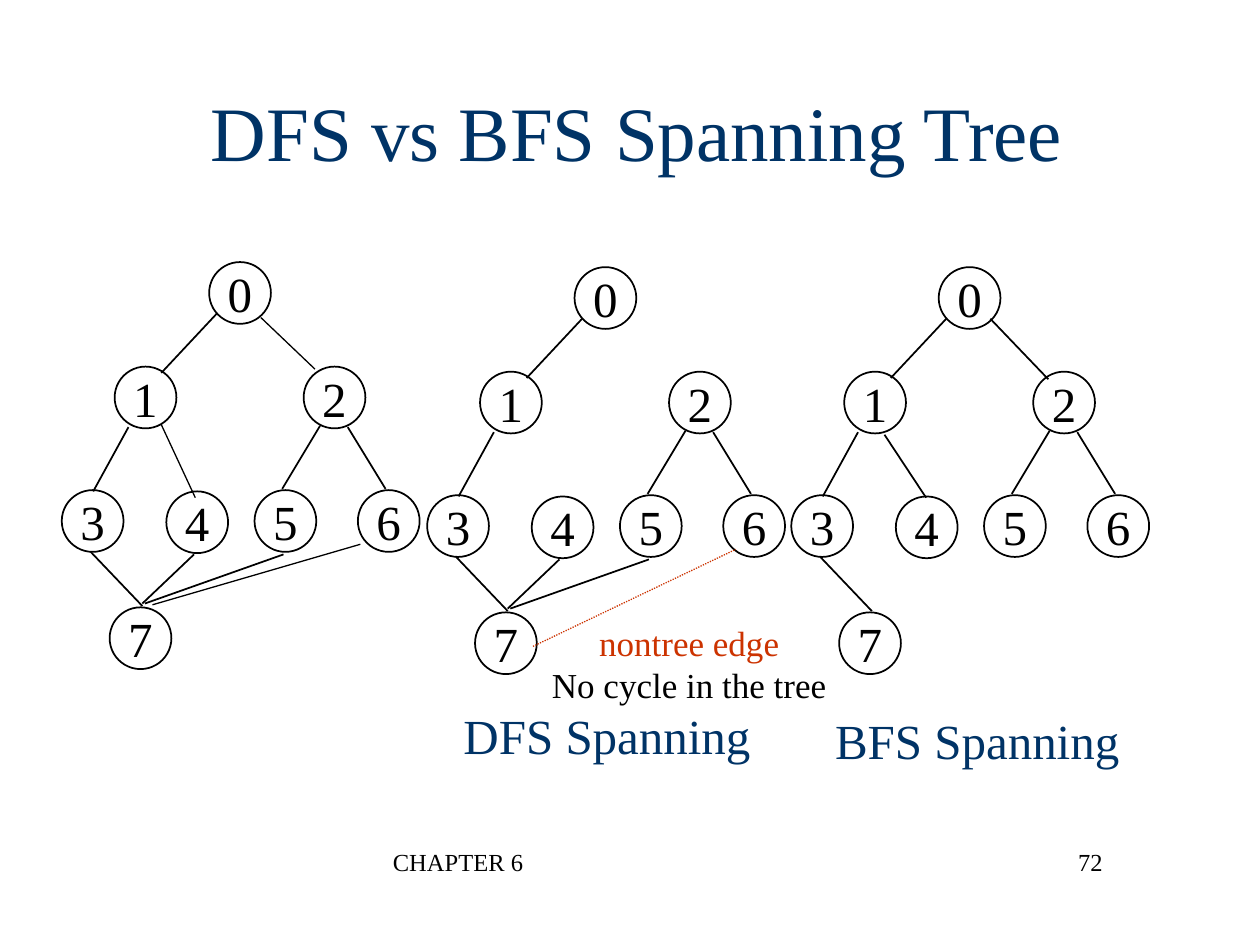
from lxml import etree
from pptx import Presentation
from pptx.dml.color import RGBColor
from pptx.enum.dml import MSO_LINE
from pptx.enum.shapes import MSO_CONNECTOR, MSO_SHAPE
from pptx.enum.text import MSO_ANCHOR, PP_ALIGN
from pptx.oxml.ns import qn
from pptx.util import Inches, Pt

LEFT, CENTER, RIGHT = PP_ALIGN.LEFT, PP_ALIGN.CENTER, PP_ALIGN.RIGHT
TOP, MIDDLE = MSO_ANCHOR.TOP, MSO_ANCHOR.MIDDLE
OVAL, STRAIGHT = MSO_SHAPE.OVAL, MSO_CONNECTOR.STRAIGHT
DOTTED = MSO_LINE.ROUND_DOT
FONT = "Times New Roman"
COLORS = {"paper": "FFFFFF", "ink": "000000", "navy": "003366", "red": "CC3300"}

# Places below are in inches from the top left corner of a tree.
DIAMETER = 0.49
NODES = [(1.17, 0), (0.42, 0.83), (1.92, 0.83), (0, 1.81),
         (0.83, 1.82), (1.53, 1.81), (2.35, 1.81), (0.38, 2.74)]
EDGES = {
    (0, 1): (1.23, 0.41, 0.79, 0.88),
    (0, 2): (1.58, 0.41, 2.04, 0.89),
    (1, 3): (0.53, 1.31, 0.25, 1.82),
    (1, 4): (0.74, 1.33, 1.07, 1.83),
    (2, 5): (2.05, 1.3, 1.75, 1.8),
    (2, 6): (2.27, 1.31, 2.57, 1.8),
    (3, 7): (0.23, 2.3, 0.64, 2.73),
    (4, 7): (0.64, 2.71, 1.05, 2.32),
    (5, 7): (0.66, 2.71, 1.76, 2.32),
}
GRAPH_THIN_EDGES = [(1.58, 0.44, 2.01, 0.85), (0.79, 1.29, 1.06, 1.87),
                    (0.72, 2.72, 2.37, 2.24)]
NONTREE_EDGE = (0.84, 3.01, 2.45, 2.24)

SHARED_TREE = [(0, 1), (1, 3), (2, 5), (2, 6), (3, 7)]
DFS_TREE = SHARED_TREE + [(4, 7), (5, 7)]
BFS_TREE = SHARED_TREE + [(0, 2), (1, 4)]


def rgb(name):
    return RGBColor.from_string(COLORS[name])


def write(frame, lines, size, align, anchor, wrap=True):
    """Fill a text frame with (text, colour) lines."""
    frame.word_wrap = wrap
    frame.vertical_anchor = anchor
    for index, (text, color) in enumerate(lines):
        paragraph = frame.paragraphs[0] if index == 0 else frame.add_paragraph()
        paragraph.text = text
        paragraph.alignment = align
        font = paragraph.runs[0].font
        font.name, font.size = FONT, Pt(size)
        font.color.rgb = rgb(color)


def add_label(slide, box, lines, size, align=LEFT, anchor=TOP, wrap=True):
    label = slide.shapes.add_textbox(*map(Inches, box))
    write(label.text_frame, lines, size, align, anchor, wrap)


def add_node(slide, x, y, number):
    node = slide.shapes.add_shape(
        OVAL, Inches(x), Inches(y), Inches(DIAMETER), Inches(DIAMETER))
    node.shadow.inherit = False
    node.fill.solid()
    node.fill.fore_color.rgb = rgb("paper")
    node.line.color.rgb = rgb("ink")
    node.line.width = Pt(1)
    write(node.text_frame, [(str(number), "ink")], 28, CENTER, MIDDLE, wrap=False)


def add_edge(slide, x, y, ends, width=1, color="ink", dash=None):
    x1, y1, x2, y2 = ends
    edge = slide.shapes.add_connector(
        STRAIGHT, Inches(x + x1), Inches(y + y1), Inches(x + x2), Inches(y + y2))
    edge.line.color.rgb = rgb(color)
    edge.line.width = Pt(width)
    if dash is not None:
        edge.line.dash_style = dash
    etree.SubElement(edge._element.spPr, qn("a:effectLst"))


def add_tree(slide, x, y, edges):
    for number, (dx, dy) in enumerate(NODES):
        add_node(slide, x + dx, y + dy, number)
    for edge in edges:
        add_edge(slide, x, y, EDGES[edge])


def add_graph(slide, x, y):
    add_tree(slide, x, y, DFS_TREE)
    for ends in GRAPH_THIN_EDGES:
        add_edge(slide, x, y, ends, width=0.75)


def add_dfs_tree(slide, x, y):
    add_tree(slide, x, y, DFS_TREE)
    add_edge(slide, x, y, NONTREE_EDGE, 0.75, "red", DOTTED)
    add_label(slide, (x + 0.88, y + 2.76, 2.4, 0.77),
              [("nontree edge", "red"), ("No cycle in the tree", "ink")],
              20, CENTER, MIDDLE, wrap=False)
    add_label(slide, (x + 0.19, y + 3.43, 2.48, 0.57),
              [("DFS Spanning", "navy")], 28, wrap=False)


def add_bfs_tree(slide, x, y):
    add_tree(slide, x, y, BFS_TREE)
    add_label(slide, (x + 0.25, y + 3.47, 2.46, 0.57),
              [("BFS Spanning", "navy")], 28, wrap=False)


def add_title(slide, box):
    title = slide.shapes.title
    title.left, title.top, title.width, title.height = map(Inches, box)
    write(title.text_frame, [("DFS vs BFS Spanning Tree", "navy")], 44, CENTER, MIDDLE)


def add_footer(slide, top, height):
    add_label(slide, (3.02, top, 3.17, height), [("CHAPTER 6", "ink")], 14)
    add_label(slide, (6.77, top, 2.08, height), [("72", "ink")], 14, RIGHT)


def main():
    deck = Presentation()
    deck.slide_width, deck.slide_height = Inches(10), Inches(7.5)
    slide = deck.slides.add_slide(deck.slide_layouts[5])
    add_title(slide, (0.59, 0.41, 8.93, 1.25))
    add_graph(slide, 0.49, 2.08)
    add_dfs_tree(slide, 3.39, 2.12)
    add_bfs_tree(slide, 6.28, 2.12)
    add_footer(slide, 6.67, 0.5)
    deck.save("out.pptx")


if __name__ == "__main__":
    main()
